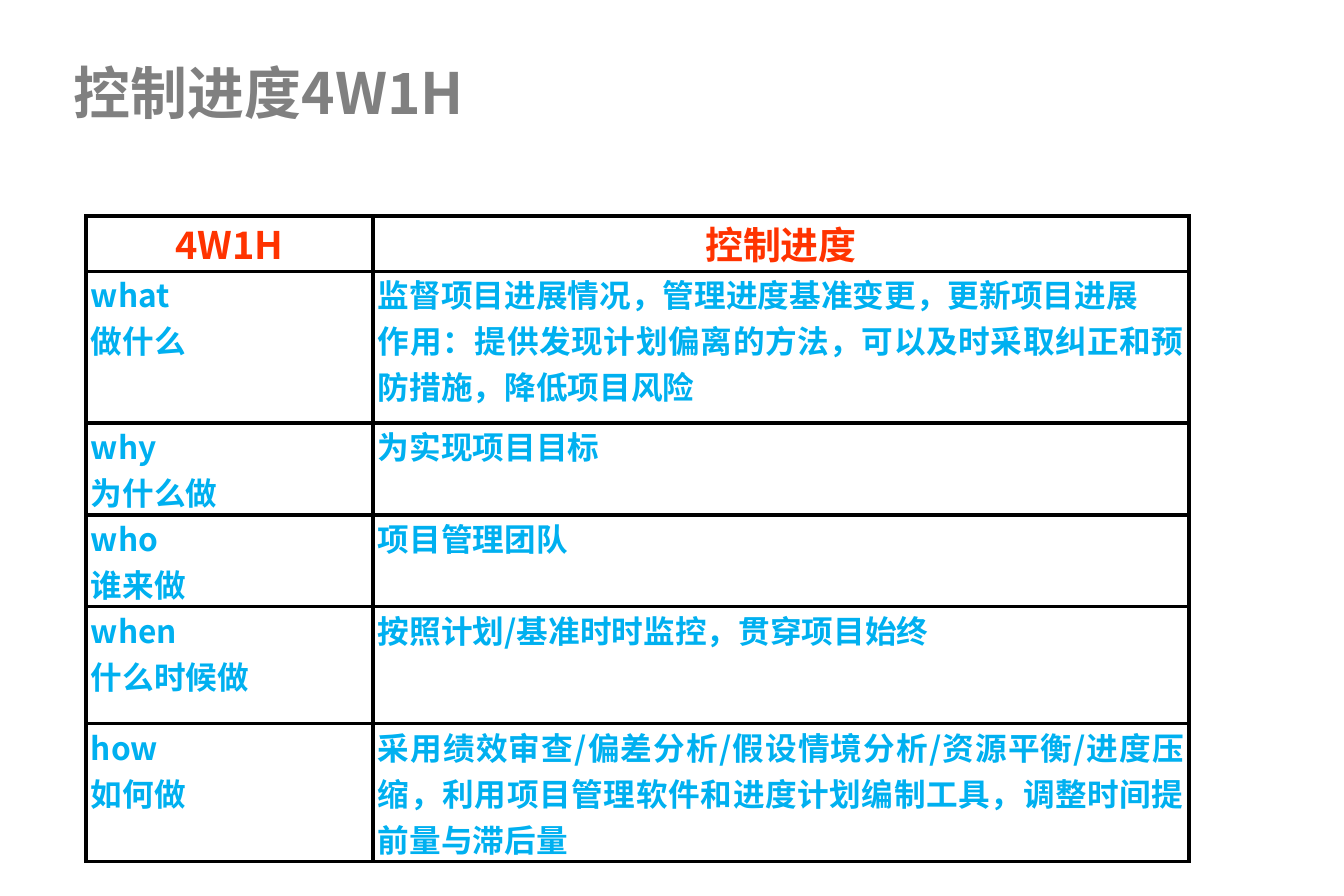
from lxml import etree
from pptx import Presentation
from pptx import util as u
from pptx.dml.color import RGBColor
from pptx.enum import text
from pptx.oxml.ns import qn

PX = 8037  # EMU per px
FONT = "Noto Sans CJK SC"
COLUMNS = [287, 816]
ROWS = [
    (55, ["4W1H"], ["控制进度"]),
    (152, ["what", "做什么"],
     ["监督项目进展情况，管理进度基准变更，更新项目进展",
      "作用：提供发现计划偏离的方法，可以及时采取纠正和预防措施，降低项目风险"]),
    (92, ["why", "为什么做"], ["为实现项目目标"]),
    (92, ["who", "谁来做"], ["项目管理团队"]),
    (117, ["when", "什么时候做"], ["按照计划/基准时时监控，贯穿项目始终"]),
    (138, ["how", "如何做"],
     ["采用绩效审查/偏差分析/假设情境分析/资源平衡/进度压缩，"
      "利用项目管理软件和进度计划编制工具，调整时间提前量与滞后量"]),
]


def write(tf, lines, size, color, align):
    """Fill a text frame with one bold paragraph per line."""
    for i, line in enumerate(lines):
        p = tf.add_paragraph() if i else tf.paragraphs[0]
        p.alignment = align
        r = p.add_run()
        r.text = line
        for name, value in dict(size=u.Pt(size), bold=True, name=FONT).items():
            setattr(r.font, name, value)
        r.font.color.rgb = RGBColor.from_string(color)
        etree.SubElement(r._r.get_or_add_rPr(), qn("a:ea"), typeface=FONT)


def add_borders(cell, color, points):
    tcPr = cell._tc.get_or_add_tcPr()
    for i, side in enumerate(("lnL", "lnR", "lnT", "lnB")):
        line = etree.Element(qn(f"a:{side}"), w=str(u.Pt(points)))
        fill = etree.SubElement(line, qn("a:solidFill"))
        etree.SubElement(fill, qn("a:srgbClr"), val=color)
        tcPr.insert(i, line)


prs = Presentation()
prs.slide_width, prs.slide_height = u.Pt(850.5), u.Pt(567)
s = prs.slides.add_slide(prs.slide_layouts[5])

title = s.shapes.title
for name, value in dict(left=61, top=56, width=1210, height=71).items():
    setattr(title, name, value * PX)
tf = title.text_frame
tf.word_wrap = True
tf.auto_size = text.MSO_AUTO_SIZE.NONE
tf.vertical_anchor = text.MSO_ANCHOR.MIDDLE
for name, value in dict(left=13, right=13, top=7, bottom=7).items():
    setattr(tf, f"margin_{name}", value * PX)
write(tf, ["控制进度4W1H"], 36, "808080", text.PP_ALIGN.LEFT)

heights = [row[0] for row in ROWS]
table = s.shapes.add_table(len(ROWS), len(COLUMNS), 86 * PX, 216 * PX,
                           sum(COLUMNS) * PX, sum(heights) * PX).table
for column, width in zip(table.columns, COLUMNS):
    column.width = width * PX

header = dict(size=24, color="FF3300", align=text.PP_ALIGN.CENTER)
body = dict(size=20, color="00B0F0", align=text.PP_ALIGN.JUSTIFY)
for i, (height, *contents) in enumerate(ROWS):
    table.rows[i].height = height * PX
    for j, lines in enumerate(contents):
        cell = table.cell(i, j)
        for name, value in dict(left=5, right=5, top=0, bottom=0).items():
            setattr(cell, f"margin_{name}", value * PX)
        cell.fill.solid()
        cell.fill.fore_color.rgb = RGBColor.from_string("FFFFFF")
        add_borders(cell, "000000", 2.25)
        write(cell.text_frame, lines, **(body if i else header))

prs.save("out.pptx")
